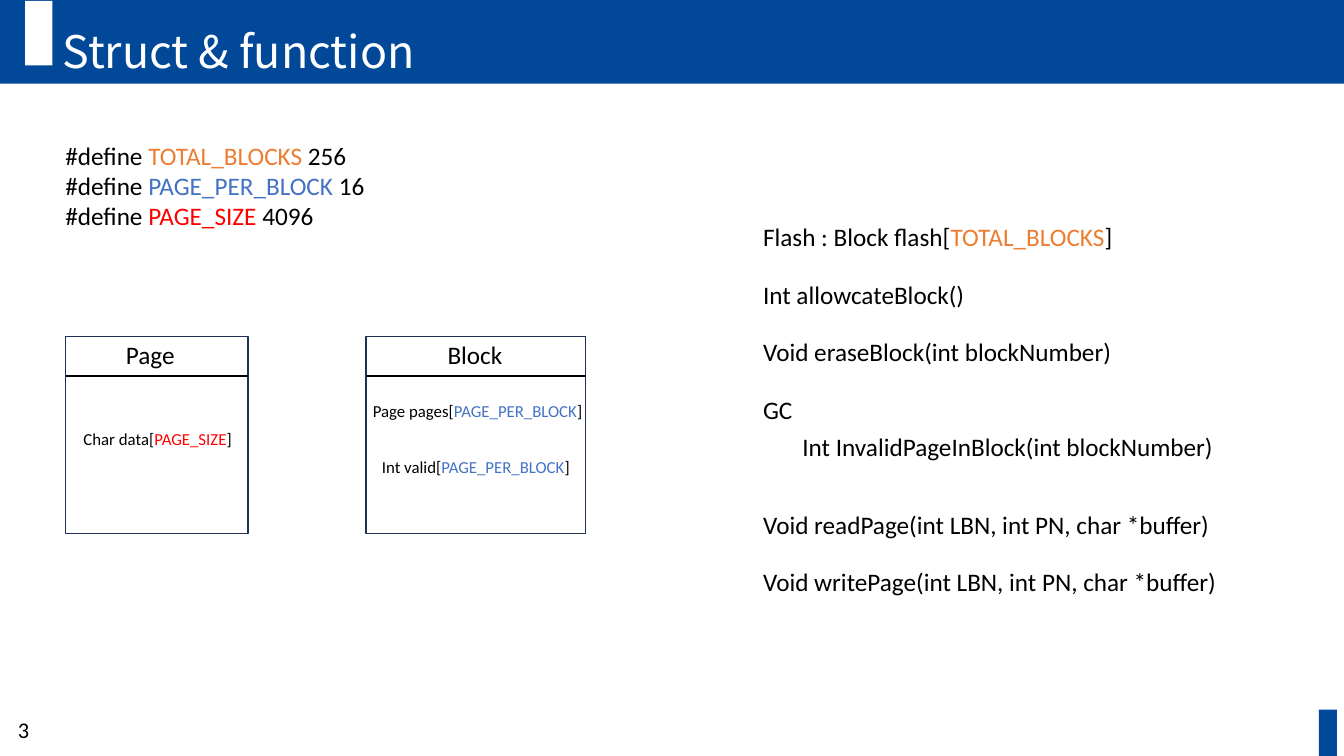
"""Build the slide listing the structs and functions of a flash simulator."""
from lxml import etree
from pptx import Presentation, util as u
from pptx.dml.color import RGBColor
from pptx.enum import shapes, text
from pptx.oxml.ns import qn

WIDTH, HEIGHT = 13.33, 7.5
BLUE = RGBColor(0x01, 0x48, 0x98)
NAVY = RGBColor(0x1E, 0x32, 0x56)
WHITE = RGBColor(255, 255, 255)
BLACK = RGBColor(0, 0, 0)
MACRO_COLORS = {
    "TOTAL_BLOCKS": RGBColor(0xED, 0x7D, 0x31),
    "PAGE_PER_BLOCK": RGBColor(0x44, 0x72, 0xC4),
    "PAGE_SIZE": RGBColor(255, 0, 0),
}
BODY_FONT, TITLE_FONT = "Calibri", "Noto Sans CJK KR"

TITLE = "Struct & function"
PAGE_NUMBER = "3"
DEFINES = [
    ["#define ", "TOTAL_BLOCKS", " 256"],
    ["#define ", "PAGE_PER_BLOCK", " 16"],
    ["#define ", "PAGE_SIZE", " 4096"],
]
STRUCTS = [
    {"name": "Page", "left": 0.65, "width": 1.81, "name_indent": 0.5,
     "fields": [(0.08, 0.86, ["Char data[", "PAGE_SIZE", "]"])]},
    {"name": "Block", "left": 3.63, "width": 2.18, "name_indent": 0.71,
     "fields": [(-0.03, 0.59, ["Page pages[", "PAGE_PER_BLOCK", "]"]),
                (0.06, 1.14, ["Int valid[", "PAGE_PER_BLOCK", "]"])]},
]
FUNCTIONS = [
    (0, 0, ["Flash : Block flash[", "TOTAL_BLOCKS", "]"]),
    (1, 0, ["Int allowcateBlock()"]),
    (2, 0, ["Void eraseBlock(int blockNumber)"]),
    (3, 0, ["GC"]),
    (3.65, 1, ["Int InvalidPageInBlock(int blockNumber)"]),
    (5, 0, ["Void readPage(int LBN, int PN, char *buffer)"]),
    (6, 0, ["Void writePage(int LBN, int PN, char *buffer)"]),
]
BANNER_HEIGHT = 0.83
STRUCT_TOP, STRUCT_HEIGHT, HEADER_HEIGHT = 3.34, 1.95, 0.39
FUNCTION_LEFT, FUNCTION_TOP, FUNCTION_PITCH, FUNCTION_INDENT = 7.47, 2.15, 0.57, 0.39
LINE_HEIGHT = 0.4


def inches(*lengths):
    return [u.Inches(length) for length in lengths]


def add_box(shape_tree, left, top, width, height, fill=None, line=None):
    box = shape_tree.add_shape(shapes.MSO_SHAPE.RECTANGLE, *inches(left, top, width, height))
    box.shadow.inherit = False
    if fill is None:
        box.fill.background()
    else:
        box.fill.solid()
        box.fill.fore_color.rgb = fill
    if line is None:
        box.line.fill.background()
    else:
        box.line.color.rgb = line
        box.line.width = u.Pt(1)


def add_text(shape_tree, left, top, width, height, lines, size=18):
    frame = shape_tree.add_textbox(*inches(left, top, width, height)).text_frame
    frame.word_wrap = True
    for index, pieces in enumerate(lines):
        paragraph = frame.add_paragraph() if index else frame.paragraphs[0]
        paragraph.font.size = u.Pt(size)
        paragraph.font.name = BODY_FONT
        for piece in pieces:
            run = paragraph.add_run()
            run.text = piece
            run.font.color.rgb = MACRO_COLORS.get(piece, BLACK)
    return frame


def add_struct(slide, struct):
    group = slide.shapes.add_group_shape().shapes
    left, width = struct["left"], struct["width"]
    divider = STRUCT_TOP + HEADER_HEIGHT
    add_box(group, left, STRUCT_TOP, width, STRUCT_HEIGHT, line=NAVY)
    rule = group.add_connector(shapes.MSO_CONNECTOR.STRAIGHT,
                               *inches(left, divider, left + width, divider))
    rule.line.color.rgb = BLACK
    rule.line.width = u.Pt(1.5)
    etree.SubElement(rule.element.spPr, qn("a:effectLst"))
    add_text(group, left + struct["name_indent"], STRUCT_TOP - 0.02, 1.31, LINE_HEIGHT,
             [[struct["name"]]])
    for indent, drop, pieces in struct["fields"]:
        add_text(group, left + indent, STRUCT_TOP + drop, width + 0.15, 0.3, [pieces], 12)


def add_title(slide):
    title = slide.shapes.title
    title.left, title.top, title.width, title.height = inches(0.52, 0, 11.5, BANNER_HEIGHT)
    title.element.getparent().append(title.element)
    frame = title.text_frame
    frame.text = TITLE
    frame.vertical_anchor = text.MSO_ANCHOR.BOTTOM
    paragraph = frame.paragraphs[0]
    paragraph.alignment = text.PP_ALIGN.LEFT
    paragraph.line_spacing = 0.9
    paragraph.font.size = u.Pt(32)
    paragraph.font.name = TITLE_FONT
    paragraph.font.color.rgb = WHITE


def main():
    presentation = Presentation()
    presentation.slide_width, presentation.slide_height = inches(WIDTH, HEIGHT)
    slide = presentation.slides.add_slide(presentation.slide_layouts[5])

    add_box(slide.shapes, 0, 0, WIDTH, BANNER_HEIGHT, fill=BLUE)
    add_box(slide.shapes, 0.25, 0.01, 0.27, 0.64, fill=WHITE)
    add_box(slide.shapes, 13.08, 7.04, 0.18, 0.46, fill=BLUE)
    add_title(slide)
    number = add_text(slide.shapes, 0.08, 7.04, 3, LINE_HEIGHT, [[PAGE_NUMBER]], 16)
    number.vertical_anchor = text.MSO_ANCHOR.MIDDLE

    add_text(slide.shapes, 0.55, 1.34, 5.06, 1.01, DEFINES)
    for struct in STRUCTS:
        add_struct(slide, struct)
    for row, level, pieces in FUNCTIONS:
        add_text(slide.shapes, FUNCTION_LEFT + level * FUNCTION_INDENT,
                 FUNCTION_TOP + row * FUNCTION_PITCH, 5.2, LINE_HEIGHT, [pieces])
    presentation.save("out.pptx")


if __name__ == "__main__":
    main()
